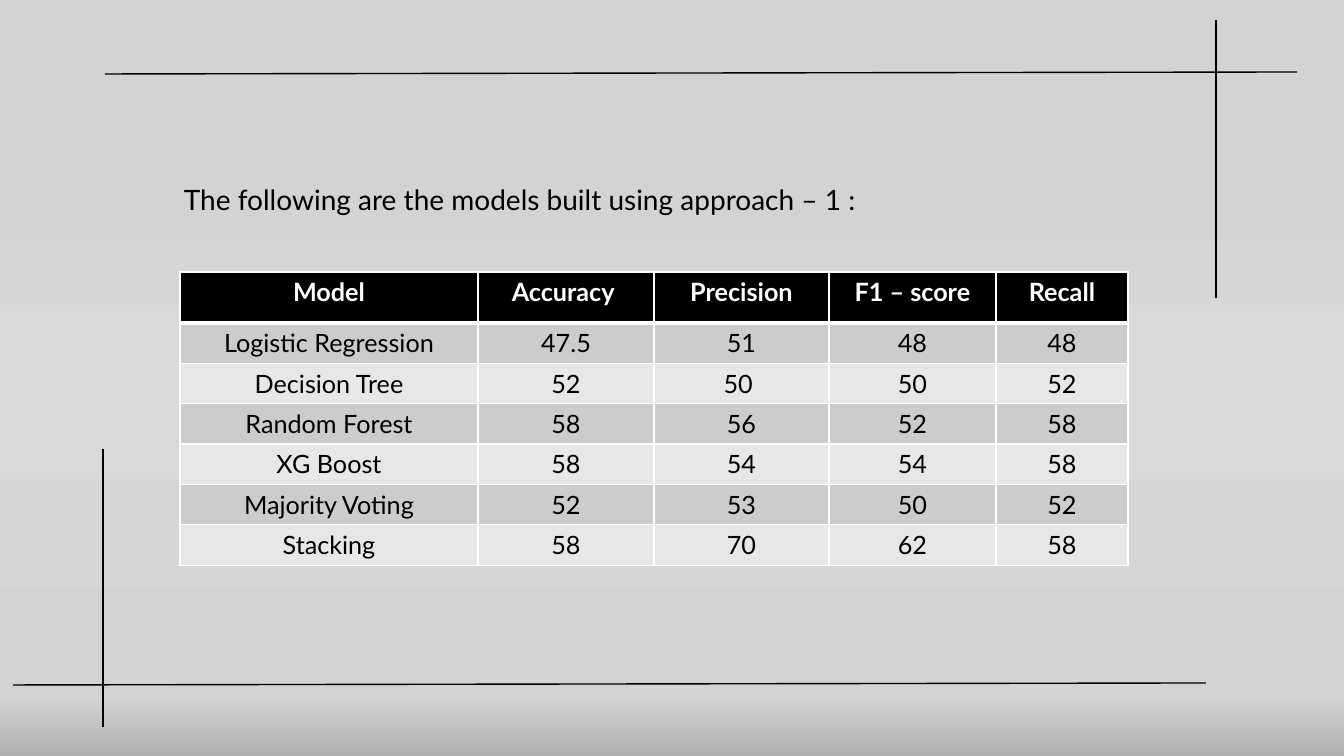
from lxml.etree import SubElement
from pptx import Presentation
from pptx.dml.color import RGBColor
from pptx.enum.shapes import MSO_CONNECTOR
from pptx.enum.text import PP_ALIGN
from pptx.oxml.ns import qn
from pptx.util import Emu, Inches, Pt

PX_PER_INCH = 100.8
COLORS = {
    "ink": "000000",
    "white": "FFFFFF",
    "band_dark": "CCCCCC",
    "band_light": "E7E7E7",
    "backdrop": "D3D3D3",
    "backdrop_light": "D9D9D9",
    "backdrop_edge": "B0B0B0",
}
BACKDROP_STOPS = [(23, "backdrop"), (49, "backdrop_light"), (92, "backdrop"), (100, "backdrop_edge")]

# Frame lines: start x, start y, end x, end y
FRAME_LINES = [
    (105, 74, 1297, 72),
    (1216, 20, 1216, 298),
    (103, 449, 103, 727),
    (13, 685, 1206, 683),
]

COLUMN_WIDTHS = [298, 176, 175, 167, 132]
HEADER_HEIGHT, ROW_HEIGHT = 51, 40
SCORES = [
    ["Model", "Accuracy ", "Precision", "F1 – score", "Recall"],
    ["Logistic Regression", "47.5", "51", "48", "48"],
    ["Decision Tree", "52", "50 ", "50", "52"],
    ["Random Forest", "58", "56", "52", "58"],
    ["XG Boost", "58", "54", "54", "58"],
    ["Majority Voting", "52", "53", "50", "52"],
    ["Stacking", "58", "70", "62", "58"],
]


def px(length):
    return Emu(round(length * Inches(1) / PX_PER_INCH))


def rgb(color):
    return RGBColor.from_string(COLORS[color])


class SlideBuilder:
    font_name = "Lato"

    def __init__(self, slide):
        self.slide = slide

    def background(self, stops):
        self.slide.background.fill.gradient()
        gradient = self.slide.element.find(".//" + qn("a:gradFill"))
        stop_list = gradient.find(qn("a:gsLst"))
        for old_stop in list(stop_list):
            stop_list.remove(old_stop)
        for percent, color in stops:
            stop = SubElement(stop_list, qn("a:gs"), pos=str(percent * 1000))
            SubElement(stop, qn("a:srgbClr"), val=COLORS[color])
        gradient.find(qn("a:lin")).set("ang", str(90 * 60000))

    def run(self, paragraph, text, size, color="ink", bold=False):
        run = paragraph.add_run()
        run.text = text
        run.font.name = self.font_name
        run.font.size = Pt(size)
        run.font.bold = bold
        run.font.color.rgb = rgb(color)

    def text(self, left, top, width, height, text, size, line_spacing):
        shape = self.slide.shapes.add_textbox(px(left), px(top), px(width), px(height))
        shape.text_frame.word_wrap = True
        paragraph = shape.text_frame.paragraphs[0]
        paragraph.line_spacing = line_spacing
        self.run(paragraph, text, size)

    def line(self, x1, y1, x2, y2):
        connector = self.slide.shapes.add_connector(
            MSO_CONNECTOR.STRAIGHT, px(x1), px(y1), px(x2), px(y2))
        connector.line.color.rgb = rgb("ink")
        connector.line.width = Pt(1)
        SubElement(connector.element.spPr, qn("a:effectLst"))

    def borders(self, cell, widths):
        properties = cell._tc.get_or_add_tcPr()
        for side, width in widths.items():
            border = SubElement(properties, qn("a:ln" + side), w=str(Pt(width)))
            fill = SubElement(border, qn("a:solidFill"))
            SubElement(fill, qn("a:srgbClr"), val=COLORS["white"])

    def table(self, left, top, rows, column_widths, header_height, row_height):
        heights = [header_height] + [row_height] * (len(rows) - 1)
        table = self.slide.shapes.add_table(
            len(rows), len(column_widths), px(left), px(top),
            px(sum(column_widths)), px(sum(heights))).table
        table.horz_banding = False
        for column, width in zip(table.columns, column_widths):
            column.width = px(width)
        for row_index, values in enumerate(rows):
            table.rows[row_index].height = px(heights[row_index])
            header = row_index == 0
            band = "band_dark" if row_index % 2 else "band_light"
            widths = {"L": 1, "R": 1, "T": 3 if row_index == 1 else 1, "B": 3 if header else 1}
            for column_index, value in enumerate(values):
                cell = table.cell(row_index, column_index)
                self.borders(cell, widths)
                cell.fill.solid()
                cell.fill.fore_color.rgb = rgb("ink" if header else band)
                paragraph = cell.text_frame.paragraphs[0]
                paragraph.alignment = PP_ALIGN.CENTER
                self.run(paragraph, value, 18, "white" if header else "ink", header)


def main():
    presentation = Presentation()
    presentation.slide_width = px(1344)
    presentation.slide_height = px(756)
    builder = SlideBuilder(presentation.slides.add_slide(presentation.slide_layouts[6]))

    # Backdrop
    builder.background(BACKDROP_STOPS)

    # Introduction
    builder.text(174, 144, 1066, 68,
                 "The following are the models built using approach – 1 :", 20, 2)

    # Crossing frame lines
    for ends in FRAME_LINES:
        builder.line(*ends)

    # Model scores
    builder.table(180, 272, SCORES, COLUMN_WIDTHS, HEADER_HEIGHT, ROW_HEIGHT)

    presentation.save("out.pptx")


if __name__ == "__main__":
    main()
